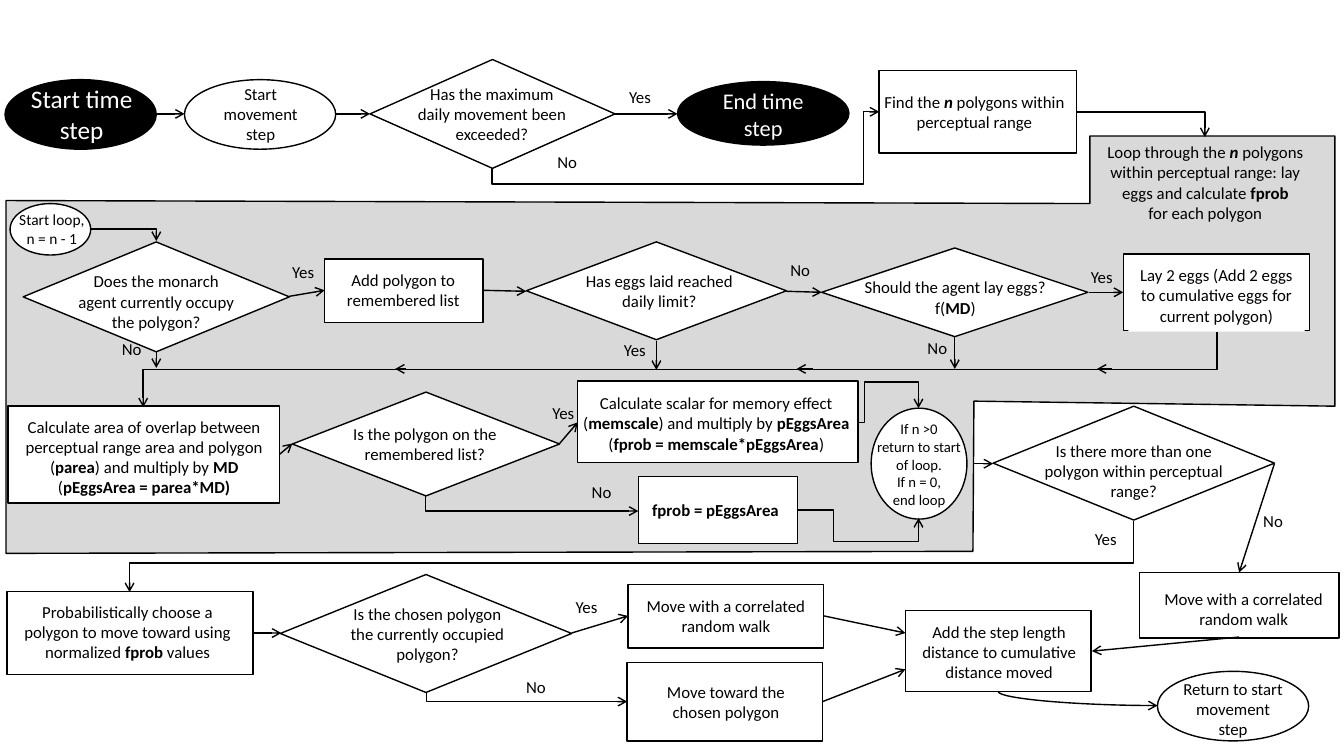
from lxml import etree
from pptx import Presentation
from pptx.dml.color import RGBColor
from pptx.enum.shapes import MSO_CONNECTOR, MSO_SHAPE
from pptx.enum.text import MSO_AUTO_SIZE, PP_ALIGN
from pptx.oxml.ns import qn
from pptx.util import Cm, Pt

OVAL = MSO_SHAPE.OVAL
BOX = MSO_SHAPE.RECTANGLE
DECISION = MSO_SHAPE.FLOWCHART_DECISION
STRAIGHT = MSO_CONNECTOR.STRAIGHT
ELBOW = MSO_CONNECTOR.ELBOW
CURVE = MSO_CONNECTOR.CURVE
CENTER = PP_ALIGN.CENTER
LEFT = PP_ALIGN.LEFT
GROW = MSO_AUTO_SIZE.SHAPE_TO_FIT_TEXT

CM_PER_UNIT = 2.54
THEME = {
    "font": "Calibri",
    "black": RGBColor(0, 0, 0),
    "white": RGBColor(255, 255, 255),
    "grey": RGBColor(0xD9, 0xD9, 0xD9),
    "line": Pt(1),
    "body": Pt(12),
    "start": Pt(18),
    "end": Pt(16),
    "loop": Pt(11),
    "return": Pt(10.5),
}


def lengths(*values):
    return [Cm(value * CM_PER_UNIT) for value in values]


def add_label(shapes, place, text, size="body", color="black", align=CENTER, wrap=True):
    box = shapes.add_textbox(*lengths(*place))
    frame = box.text_frame
    frame.word_wrap = wrap
    frame.auto_size = GROW
    for index, line in enumerate(text.split("\n")):
        para = frame.paragraphs[0] if index == 0 else frame.add_paragraph()
        para.alignment = align
        for position, part in enumerate(line.split("|")):
            if not part:
                continue
            span = para.add_run()
            span.text = part.lstrip("_")
            style = {
                "name": THEME["font"],
                "size": THEME[size],
                "bold": position % 2 == 1,
                "italic": part.startswith("_"),
            }
            for name, value in style.items():
                setattr(span.font, name, value)
            span.font.color.rgb = THEME[color]
    return box


deck = Presentation()
deck.slide_width, deck.slide_height = lengths(13.33, 7.5)
page = deck.slides.add_slide(deck.slide_layouts[6])

loop_corners = [
    (13.24, 1.35), (10.81, 1.35), (10.81, 2.02), (0.06, 1.99), (0.06, 5.49),
    (9.65, 5.47), (9.66, 3.98), (13.24, 4.03),
]
corners = [lengths(*corner) for corner in loop_corners]
outline = page.shapes.build_freeform(*corners[0])
outline.add_line_segments(corners[1:], close=True)
outlined = [(outline.convert_to_shape(), "grey")]

nodes = [
    (OVAL, (0.05, 0.79, 1.5, 0.69), (0.2, 0.78, 1.22, 0.71), "Start time\nstep",
     {"size": "start", "color": "white", "wrap": False}),
    (OVAL, (1.83, 0.79, 1.5, 0.69), (1.98, 0.78, 1.21, 0.71), "Start\nmovement\nstep", {}),
    (DECISION, (3.67, 0.59, 2.43, 1.08), (4.03, 0.78, 1.7, 0.7),
     "Has the maximum daily movement been exceeded?", {}),
    (OVAL, (6.72, 0.81, 1.7, 0.63), (6.83, 0.82, 1.48, 0.64), "End time\nstep",
     {"size": "end", "color": "white"}),
    (BOX, (8.72, 0.7, 1.96, 0.82), (8.63, 0.86, 2.07, 0.5),
     "Find the |_n| polygons within perceptual range", {}),
    (OVAL, (0.1, 2.02, 0.8, 0.51), (0.08, 2.04, 0.87, 0.47), "Start loop, n = n - 1",
     {"size": "loop"}),
    (DECISION, (0.23, 2.4, 2.64, 1.09), (0.65, 2.64, 1.8, 0.71),
     "Does the monarch agent currently occupy the polygon?", {}),
    (BOX, (3.22, 2.57, 1.57, 0.63), (3.17, 2.63, 1.66, 0.5),
     "Add polygon to remembered list", {}),
    (DECISION, (5.22, 2.4, 2.58, 0.97), (5.62, 2.64, 1.84, 0.5),
     "Has eggs laid reached daily limit?", {}),
    (DECISION, (8.15, 2.46, 2.64, 0.88), (8.34, 2.7, 2.27, 0.5),
     "Should the agent lay eggs?\nf(|MD|)", {}),
    (BOX, (11.14, 2.52, 1.85, 0.76), (11.19, 2.58, 1.75, 0.71),
     "Lay 2 eggs (Add 2 eggs to cumulative eggs for current polygon)", {}),
    (BOX, (0.08, 4.03, 2.69, 0.96), (0.04, 4.08, 2.78, 0.91),
     "Calculate area of overlap between perceptual range area and polygon "
     "(|parea|) and multiply by |MD |(|pEggsArea = parea*MD)|", {}),
    (DECISION, (2.9, 3.89, 2.65, 1.03), (3.06, 4.15, 2.31, 0.5),
     "Is the polygon on the remembered list?", {}),
    (BOX, (5.73, 3.78, 2.78, 0.81), (5.67, 3.85, 2.87, 0.71),
     "Calculate scalar for memory effect (|memscale|) and multiply by "
     "|pEggsArea| (|fprob = memscale*pEggsArea|)", {}),
    (BOX, (6.33, 4.73, 1.58, 0.66), (6.37, 4.91, 1.5, 0.3), "|fprob = pEggsArea|",
     {"align": LEFT}),
    (OVAL, (8.64, 4.05, 0.95, 1.1), (8.59, 4.12, 1.05, 0.98),
     "If n >0\nreturn to start\nof loop.\nIf n = 0,\nend loop",
     {"size": "return", "wrap": False}),
    (DECISION, (9.85, 4.03, 2.79, 1.13), (10.25, 4.32, 1.99, 0.71),
     "Is there more than one polygon within perceptual range?", {}),
    (BOX, (0.07, 5.87, 2.44, 0.82), (0.08, 5.92, 2.37, 0.71),
     "Probabilistically choose a polygon to move toward using normalized |fprob| values", {}),
    (DECISION, (2.78, 5.7, 2.89, 1.17), (3.32, 5.94, 1.84, 0.71),
     "Is the chosen polygon the currently occupied polygon?", {}),
    (BOX, (6.23, 5.8, 1.94, 0.63), (6.21, 5.86, 1.98, 0.5),
     "Move with a correlated random walk", {}),
    (BOX, (6.22, 6.57, 1.94, 0.78), (6.16, 6.71, 2.08, 0.5),
     "Move toward the\nchosen polygon", {}),
    (BOX, (8.98, 6.06, 1.84, 0.8), (8.87, 6.12, 2.08, 0.71),
     "Add the step length distance to cumulative distance moved", {}),
    (BOX, (11.3, 5.68, 1.98, 0.65), (11.38, 5.79, 1.91, 0.5),
     "Move with a correlated random walk", {}),
    (OVAL, (11.48, 6.66, 1.5, 0.69), (11.61, 6.68, 1.24, 0.71),
     "Return to start\nmovement\nstep", {"wrap": False}),
]
for kind, place, text_place, text, options in nodes:
    group = page.shapes.add_group_shape()
    shape = group.shapes.add_shape(kind, *lengths(*place))
    outlined.append((shape, "black" if options.get("color") == "white" else "white"))
    label = add_label(group.shapes, text_place, text, **options)
    if text.startswith("Lay 2 eggs"):
        label.fill.solid()
        label.fill.fore_color.rgb = THEME["white"]

for shape, fill in outlined:
    shape.shadow.inherit = False
    shape.fill.solid()
    shape.fill.fore_color.rgb = THEME[fill]
    shape.line.color.rgb = THEME["black"]
    shape.line.width = THEME["line"]

straight_arrows = [
    (1.55, 1.13, 1.83, 1.13), (3.32, 1.13, 3.67, 1.13), (6.09, 1.13, 6.72, 1.13),
    (2.87, 2.94, 3.22, 2.88), (4.79, 2.88, 5.22, 2.89), (7.8, 2.89, 8.15, 2.9),
    (10.8, 2.9, 11.14, 2.9), (1.55, 3.49, 1.55, 3.65), (6.51, 3.38, 6.51, 3.67),
    (9.47, 3.34, 9.47, 3.66), (11.03, 3.66, 10.88, 3.66), (8.06, 3.66, 7.9, 3.66),
    (4.03, 3.66, 3.92, 3.66), (2.77, 4.51, 2.9, 4.4), (5.55, 4.4, 5.73, 4.19),
    (9.66, 4.6, 9.85, 4.6), (12.64, 4.6, 12.29, 5.68), (5.67, 6.28, 6.23, 6.11),
    (8.17, 6.11, 8.98, 6.28), (8.16, 6.96, 8.98, 6.64), (12.29, 6.32, 10.83, 6.46),
]
arrows = [page.shapes.add_connector(STRAIGHT, *lengths(*ends)) for ends in straight_arrows]

bent_arrows = [
    (ELBOW, (6.52, -0.53, 0.56, 3.84), 90, "HV", "bentConnector4", (-0.28, 0.96)),
    (ELBOW, (10.68, 1.11, 1.27, 0.25), 0, "", "bentConnector2", ()),
    (ELBOW, (0.9, 2.27, 0.65, 0.12), 0, "", "bentConnector2", ()),
    (ELBOW, (6.37, -1.66, 0.75, 10.65), 90, "", "bentConnector3", (0.5,)),
    (ELBOW, (5.2, 3.94, 0.15, 2.11), 270, "H", "bentConnector2", ()),
    (ELBOW, (8.51, 4.05, 0.6, 0.14), 0, "V", "bentConnector4", (0.11, 2.84)),
    (ELBOW, (7.91, 5.06, 1.2, 0.08), 0, "", "bentConnector4", (0.3, 3.94)),
    (ELBOW, (5.91, 0.54, 0.71, 9.96), 90, "", "bentConnector3", (0.59,)),
    (ELBOW, (2.51, 6.28, 0.28, 0), 0, "V", "bentConnector3", (0.5,)),
    (ELBOW, (5.18, 5.92, 0.09, 1.99), 270, "H", "bentConnector2", ()),
    (CURVE, (10.62, 6.14, 0.14, 1.58), 270, "H", "curvedConnector2", ()),
]
for kind, (left, top, width, height), turn, flips, preset, bends in bent_arrows:
    arrow = page.shapes.add_connector(kind, *lengths(left, top, left + width, top + height))
    frame = arrow._element.spPr.find(qn("a:xfrm"))
    frame.set("rot", str(turn * 60000))
    for flip in flips:
        frame.set("flip" + flip, "1")
    geometry = arrow._element.spPr.find(qn("a:prstGeom"))
    geometry.set("prst", preset)
    guides = geometry.find(qn("a:avLst"))
    for number, bend in enumerate(bends, 1):
        guide = etree.SubElement(guides, qn("a:gd"))
        guide.set("name", f"adj{number}")
        guide.set("fmla", f"val {round(bend * 100000)}")
    arrows.append(arrow)

for arrow in arrows:
    arrow.line.color.rgb = THEME["black"]
    arrow.line.width = THEME["line"]
    etree.SubElement(arrow.line._get_or_add_ln(), qn("a:tailEnd")).set("type", "arrow")
    etree.SubElement(arrow._element.spPr, qn("a:effectLst"))

answers = {
    "Yes": [(6.14, 0.81), (2.8, 2.55), (10.72, 2.6), (6.09, 3.32), (5.38, 3.95),
            (10.76, 5.2), (5.61, 5.87)],
    "No": [(5.43, 1.46), (7.74, 2.53), (9.1, 3.3), (1.11, 3.31), (5.77, 4.73),
           (12.43, 5.02), (5.12, 6.66)],
}
for answer, spots in answers.items():
    for left, top in spots:
        add_label(page.shapes, (left, top, 0.48, 0.3), answer, align=LEFT, wrap=False)
add_label(
    page.shapes, (10.82, 1.36, 2.27, 0.91),
    "Loop through the |_n| polygons within perceptual range: lay eggs and calculate |fprob|\n"
    "for each polygon",
)

deck.save("out.pptx")
